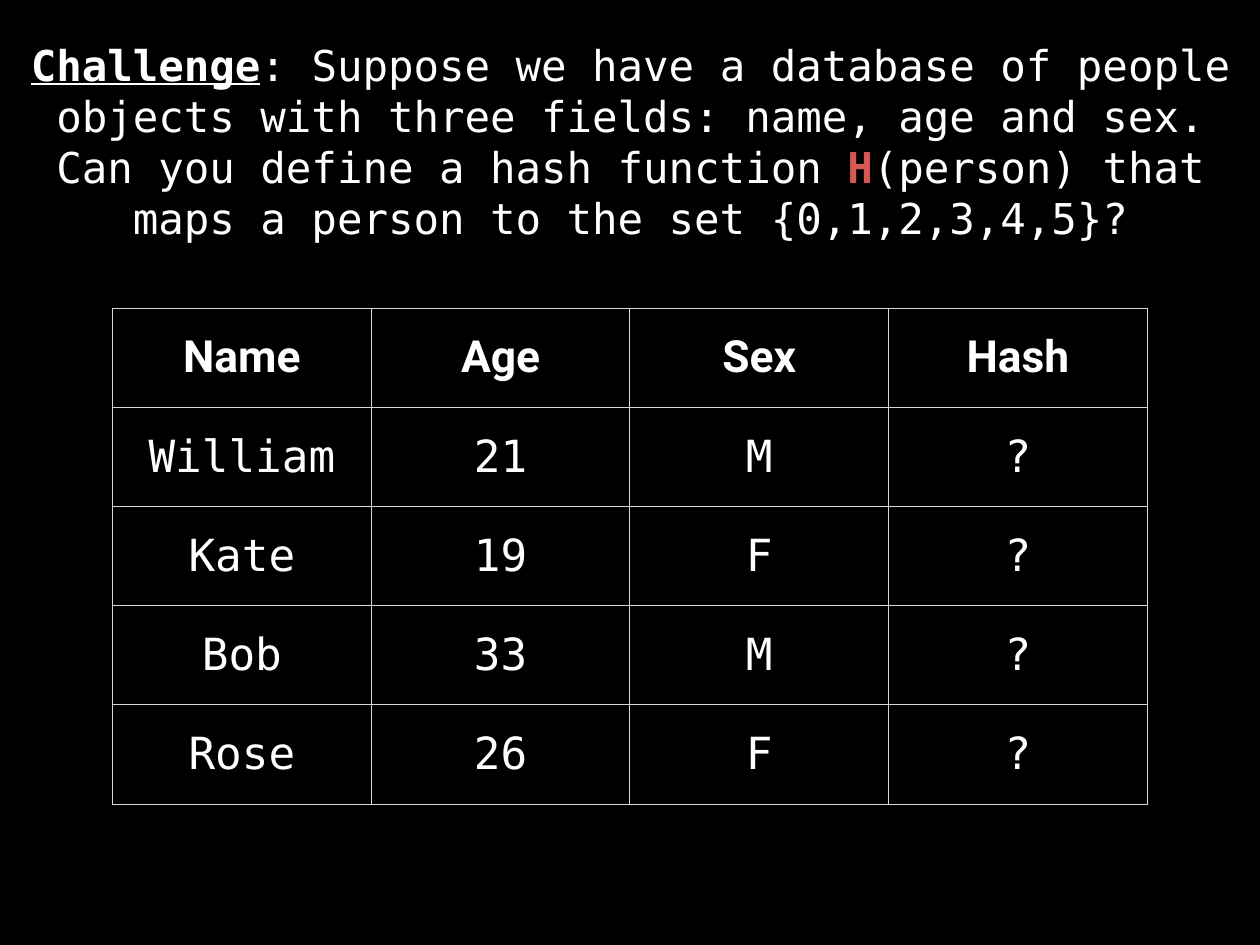
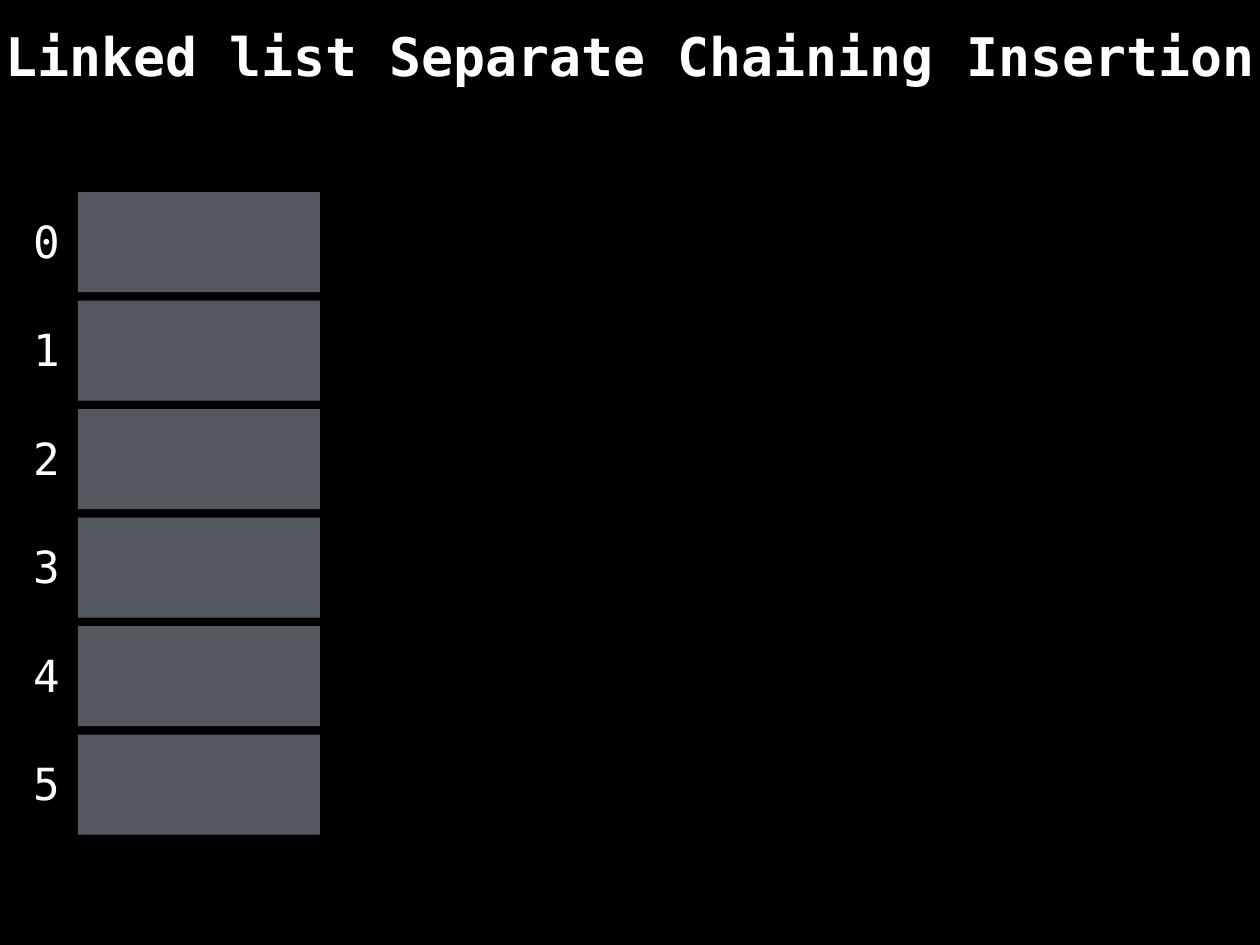
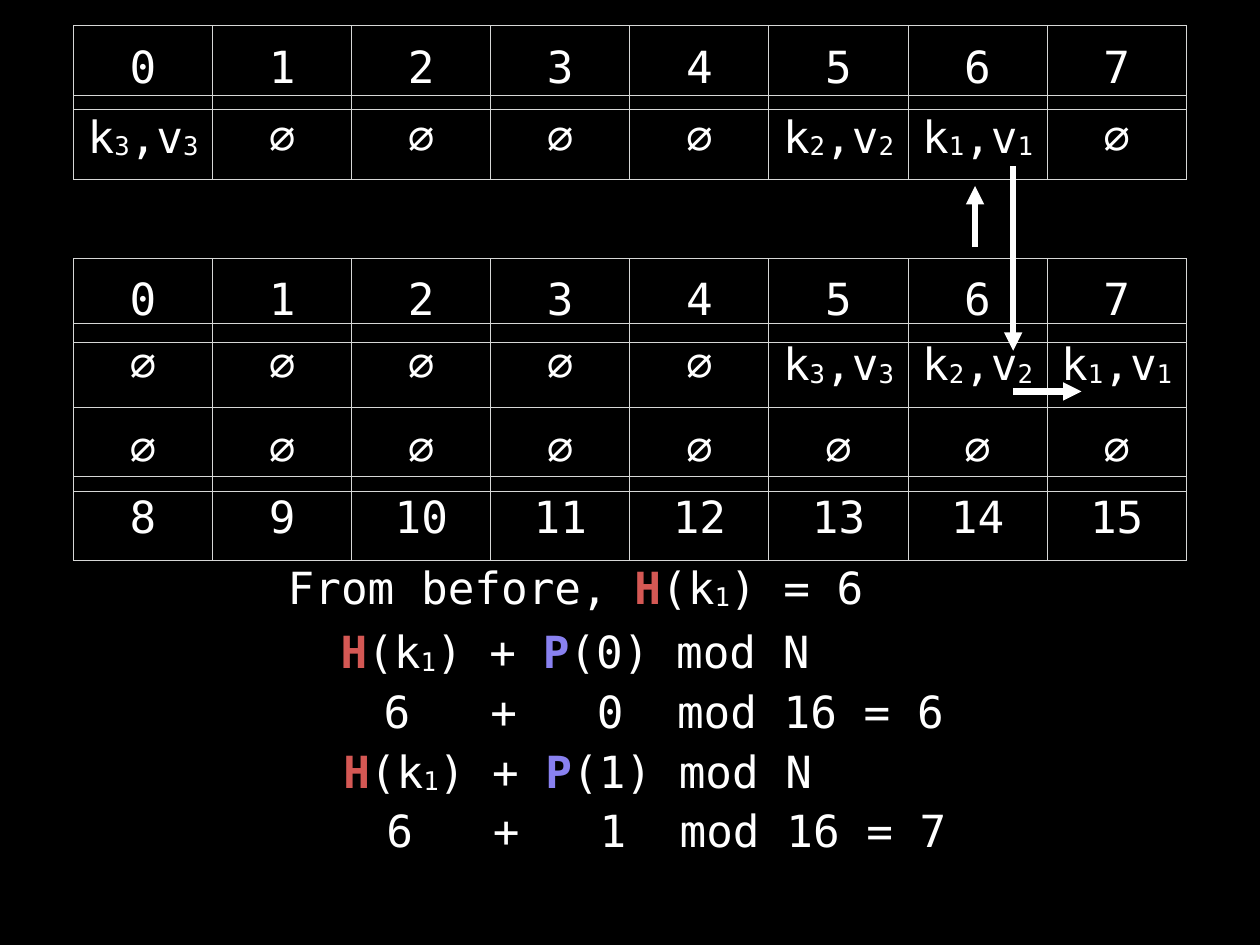
from dataclasses import dataclass

from lxml import etree
from pptx import Presentation
from pptx import util as u
from pptx.dml.color import RGBColor
from pptx.enum import shapes, text
from pptx.oxml import ns


@dataclass(frozen=True)
class Theme:
    back: str = "000000"
    ink: str = "FFFFFF"
    red: str = "D45854"
    blue: str = "8981F0"
    slot: str = "53585F"
    rule: str = "D6D7D6"
    mono: str = "DejaVu Sans Mono"
    head: str = "Roboto"
    title: float = 43.2
    lead: float = 34.5
    body: float = 36
    inset: float = 0.06


T = Theme()
W, H = 14.22, 10.67
LINE = 0.68  # height of one line of body text
CHAR = 0.301  # width of one body character

# Grid of the key tables: eight columns, centred on the slide
COLS, COL, ROW = 8, 1.57, 0.95
LEFT = (W - COLS * COL) / 2

# Run styles
STYLES = {
    "plain": {},
    "sub": {"sub": True},
    "hash": {"color": T.red, "bold": True},
    "probe": {"color": T.blue, "bold": True},
    "term": {"bold": True, "line": True},
}


def rgb(code):
    return RGBColor.from_string(code)


def inch(*sizes):
    return [u.Inches(s) for s in sizes]


# Text
def style(run, size, face=T.mono, color=T.ink, bold=False, line=False, sub=False):
    font = run.font
    font.size, font.name = u.Pt(size), face
    font.bold, font.underline = bold, line
    font.color.rgb = rgb(color)
    if sub:
        run._r.get_or_add_rPr().set("baseline", "-6000")


def write(para, parts, size, **look):
    """Fill a paragraph from a string or a list of (text, style name)."""
    if isinstance(parts, str):
        parts = [(parts, "plain")]
    for words, name in parts:
        run = para.add_run()
        run.text = words
        style(run, size, **{**look, **STYLES[name]})


def label(slide, parts, x, y, w, h=LINE, size=T.body, wrap=False,
          align=text.PP_ALIGN.CENTER, tabs=(), **look):
    frame = slide.shapes.add_textbox(*inch(x, y, w, h)).text_frame
    frame.word_wrap = wrap
    frame.vertical_anchor = text.MSO_ANCHOR.MIDDLE
    pad = u.Inches(T.inset)
    frame.margin_left = frame.margin_right = pad
    frame.margin_top = frame.margin_bottom = pad
    para = frame.paragraphs[0]
    para.alignment = align
    if tabs:
        stops = etree.SubElement(para._p.get_or_add_pPr(), ns.qn("a:tabLst"))
        for stop in tabs:
            etree.SubElement(stops, ns.qn("a:tab"),
                             pos=str(u.Inches(stop)), algn="l")
    write(para, parts, size, **look)


# Tables
def border(cell):
    props = cell._tc.get_or_add_tcPr()
    for spot, side in enumerate(("lnL", "lnR", "lnT", "lnB")):
        edge = etree.Element(ns.qn("a:" + side), w=str(u.Pt(1)))
        fill = etree.SubElement(edge, ns.qn("a:solidFill"))
        etree.SubElement(fill, ns.qn("a:srgbClr"), val=T.rule)
        props.insert(spot, edge)


def grid(slide, rows, x, y, col, row, head=False):
    count = len(rows[0])
    table = slide.shapes.add_table(
        len(rows), count, *inch(x, y, col * count, row * len(rows))).table
    table.first_row = table.horz_banding = False
    pad = u.Inches(T.inset)
    for r, items in enumerate(rows):
        look = {"face": T.head, "bold": True} if head and r == 0 else {}
        for c, parts in enumerate(items):
            cell = table.cell(r, c)
            cell.fill.background()
            border(cell)
            cell.margin_left = cell.margin_right = pad
            cell.margin_top = cell.margin_bottom = pad
            cell.vertical_anchor = text.MSO_ANCHOR.MIDDLE
            para = cell.text_frame.paragraphs[0]
            para.alignment = text.PP_ALIGN.CENTER
            write(para, parts, T.body, **look)


# Shapes
def block(slide, x, y, w, h):
    rect = slide.shapes.add_shape(shapes.MSO_SHAPE.RECTANGLE, *inch(x, y, w, h))
    rect.shadow.inherit = False
    rect.fill.solid()
    rect.fill.fore_color.rgb = rgb(T.slot)
    rect.line.fill.background()


def arrow(slide, *ends):
    link = slide.shapes.add_connector(shapes.MSO_CONNECTOR.STRAIGHT, *inch(*ends))
    link.line.width = u.Pt(5)
    link.line.color.rgb = rgb(T.ink)
    etree.SubElement(link.line._get_or_add_ln(), ns.qn("a:tailEnd"), type="triangle")
    etree.SubElement(link._element.spPr, ns.qn("a:effectLst"))


# Slides
def people(slide):
    label(slide, [
        ("Challenge", "term"),
        (": Suppose we have a database of people objects with three fields: "
         "name, age and sex. Can you define a hash function ", "plain"),
        ("H", "hash"),
        ("(person) that maps a person to the set {0,1,2,3,4,5}?", "plain"),
    ], 0.24, 0.39, 13.75, 2.41, size=T.lead, wrap=True)
    rows = [
        ("Name", "Age", "Sex", "Hash"),
        ("William", "21", "M", "?"),
        ("Kate", "19", "F", "?"),
        ("Bob", "33", "M", "?"),
        ("Rose", "26", "F", "?"),
    ]
    col = 2.92
    grid(slide, rows, (W - 4 * col) / 2, 3.48, col, 1.12, head=True)


def chain(slide):
    label(slide, "Linked list Separate Chaining Insertion",
          0, -0.03, W, 1.3, size=T.title, bold=True)
    top, step, tall = 2.17, 1.225, 1.13
    for n in range(6):
        y = top + n * step
        block(slide, 0.88, y, 2.73, tall)
        label(slide, str(n), 0.31, y + (tall - LINE) / 2 - 0.02, 0.43)


def pair(n):
    return [("k", "plain"), (n, "sub"), (",v", "plain"), (n, "sub")]


def band(slide, items, y):
    grid(slide, [items], LEFT, y, COL, ROW)


def count(first):
    return [str(n) for n in range(first, first + COLS)]


def call(n):
    """The hash of key n, without its closing bracket."""
    return [("H", "hash"), ("(k", "plain"), (n, "sub")]


def resize(slide):
    none = "∅"
    # Old table, then the doubled one
    band(slide, [pair("3")] + [none] * 4 + [pair("2"), pair("1"), none], 1.08)
    band(slide, count(0), 0.29)
    band(slide, [none] * 5 + [pair("3"), pair("2"), pair("1")], 3.65)
    band(slide, [none] * COLS, 4.6)
    band(slide, count(0), 2.92)
    band(slide, count(COLS), 5.38)

    # Hash sums
    label(slide, [("From before, ", "plain")] + call("1") + [(") = 6", "plain")],
          3.17, 6.28, 6.65)
    stops = [CHAR * n for n in (4, 8, 11)]
    for n, (x, y) in enumerate([(3.77, 7.01), (3.8, 8.36)]):
        label(slide, call("1") + [(") + ", "plain"), ("P", "probe"),
                                  (f"({n}) mod N", "plain")], x, y, 5.44)
        label(slide, f"6\t+\t{n}\tmod 16 = {6 + n}", x + 0.5, y + 0.67, 6.8,
              wrap=True, align=text.PP_ALIGN.LEFT, tabs=stops)

    # Moves of the first key
    mid = LEFT + 6.5 * COL
    arrow(slide, mid - 0.03, 2.79, mid - 0.03, 2.1)
    arrow(slide, mid + 0.4, 1.88, mid + 0.4, 3.96)
    arrow(slide, mid + 0.4, 4.42, mid + 1.17, 4.42)


def main():
    deck = Presentation()
    deck.slide_width, deck.slide_height = inch(W, H)
    back = deck.slide_master.background.fill
    back.solid()
    back.fore_color.rgb = rgb(T.back)
    for draw in (people, chain, resize):
        draw(deck.slides.add_slide(deck.slide_layouts[6]))
    deck.save("out.pptx")


if __name__ == "__main__":
    main()
